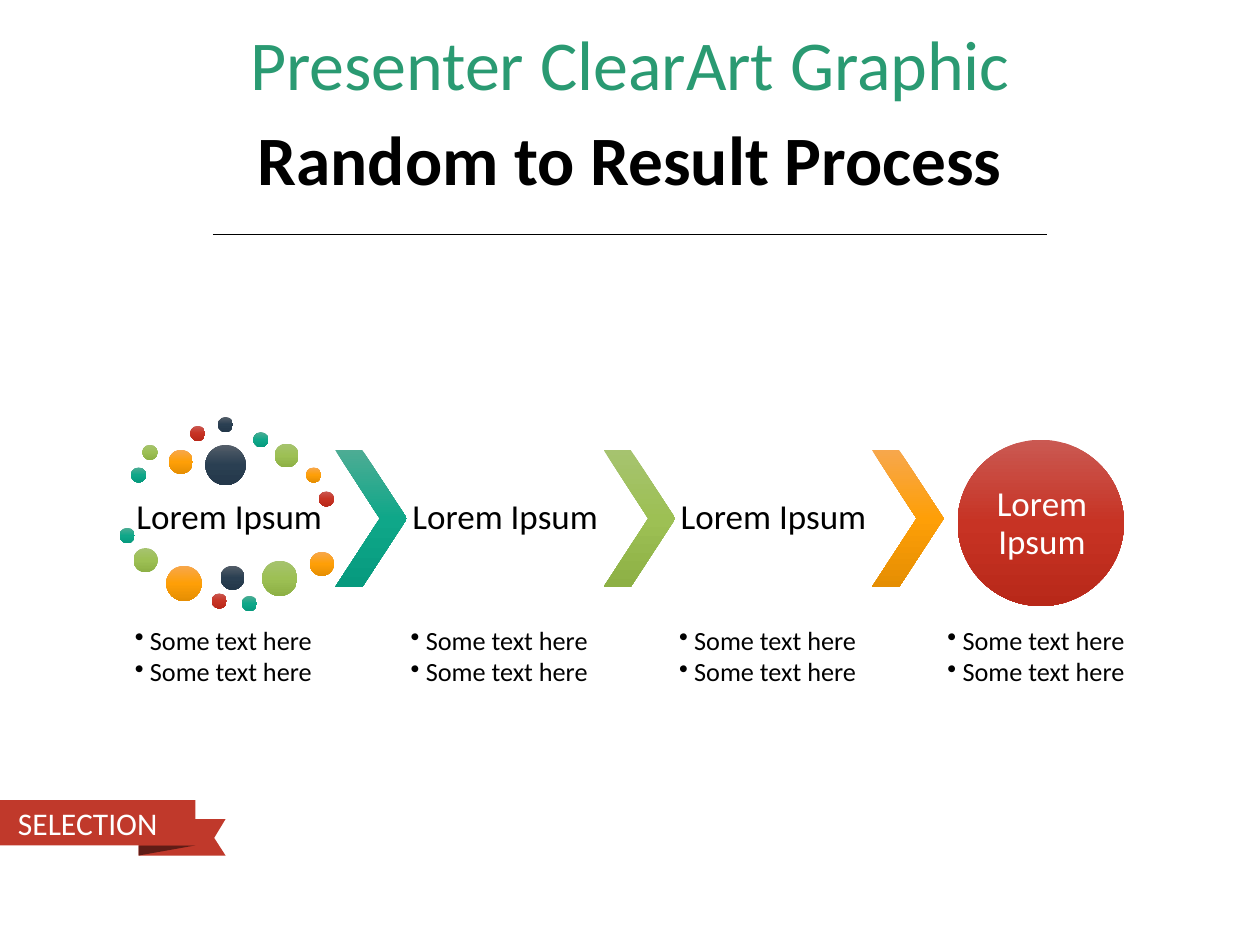
import copy
import itertools

import pptx
import pptx.dml.color
import pptx.enum.dml
import pptx.enum.shapes
import pptx.enum.text
import pptx.oxml
import pptx.oxml.ns
import pptx.util

Inches = pptx.util.Inches
Pt = pptx.util.Pt
Align = pptx.enum.text.PP_ALIGN
Anchor = pptx.enum.text.MSO_ANCHOR
Shapes = pptx.enum.shapes.MSO_SHAPE


class Theme:
    font = "Calibri"
    black, white = "000000", "FFFFFF"
    heading, ribbon, fold = "2A9A72", "C0392B", "601C16"
    # Vertical gradients: top, middle, bottom
    teal = ("4DAC94", "0FA789", "079A7E")
    green = ("A6C36F", "9DC054", "8DB045")
    orange = ("F7A74C", "FE9F07", "E58E03")
    red = ("CA5952", "C73324", "B82819")
    navy = ("545E69", "2A3F52", "24384A")
    cycle = (teal, green, orange, red, navy)
    heading_size, title_size = 40, 39.6
    label_size, ribbon_size, bullet_size = 20, 18, 15


def rgb(value):
    return pptx.dml.color.RGBColor.from_string(value)


class SlideBuilder:
    def __init__(self, slide, theme):
        self.slide = slide
        self.theme = theme

    def paint(self, shape, color):
        """Fill with one colour, or with a top-to-bottom gradient."""
        shape.shadow.inherit = False
        shape.line.fill.background()
        if isinstance(color, str):
            shape.fill.solid()
            shape.fill.fore_color.rgb = rgb(color)
            return
        shape.fill.gradient()
        shape.fill.gradient_angle = 270
        stops = shape._element.spPr.find(".//" + pptx.oxml.ns.qn("a:gsLst"))
        stops.append(copy.deepcopy(stops[0]))
        for index, stop in enumerate(shape.fill.gradient_stops):
            stop.color.rgb = rgb(color[index])
            stop.position = index / 2

    def set_text(self, shape, lines, size, color, bold=False, align=Align.CENTER,
                 anchor=Anchor.MIDDLE, insets=(0.03,) * 4, spacing=0.9, bullets=False):
        frame = shape.text_frame
        frame_format = {"word_wrap": True, "vertical_anchor": anchor}
        sides = ("margin_left", "margin_top", "margin_right", "margin_bottom")
        frame_format.update(zip(sides, map(Inches, insets)))
        for name, value in frame_format.items():
            setattr(frame, name, value)
        for index, line in enumerate(lines):
            paragraph = frame.paragraphs[0] if index == 0 else frame.add_paragraph()
            paragraph.text = line
            paragraph.alignment = align
            paragraph.line_spacing = spacing
            font_format = {"name": self.theme.font, "size": Pt(size), "bold": bold}
            for name, value in font_format.items():
                setattr(paragraph.runs[0].font, name, value)
            paragraph.runs[0].font.color.rgb = rgb(color)
            if bullets:
                paragraph.space_after = Pt(2)
                properties = paragraph._p.get_or_add_pPr()
                properties.set("marL", str(Inches(0.12)))
                properties.set("indent", str(Inches(-0.12)))
                bullet = pptx.oxml.parse_xml(
                    f'<a:buChar {pptx.oxml.ns.nsdecls("a")} char="•"/>')
                properties.append(bullet)

    def text(self, box, lines, size, color, **options):
        shape = self.slide.shapes.add_textbox(*map(Inches, box))
        self.set_text(shape, lines, size, color, **options)

    def shape(self, kind, box, color):
        shape = self.slide.shapes.add_shape(kind, *map(Inches, box))
        self.paint(shape, color)
        return shape

    def circle(self, left, top, diameter, color):
        self.shape(Shapes.OVAL, (left, top, diameter, diameter), color)

    def chevron(self, box, color):
        self.shape(Shapes.CHEVRON, box, color).adjustments[0] = 0.623

    def polygon(self, points, color):
        corners = [(Inches(x), Inches(y)) for x, y in points]
        builder = self.slide.shapes.build_freeform(*corners[0], scale=1.0)
        builder.add_line_segments(corners[1:], close=True)
        self.paint(builder.convert_to_shape(), color)

    def line(self, start, end, color, width):
        connector = self.slide.shapes.add_connector(
            pptx.enum.shapes.MSO_CONNECTOR.STRAIGHT, *map(Inches, start + end))
        connector.line.color.rgb = rgb(color)
        connector.line.width = Pt(width)
        connector._element.spPr.append(pptx.oxml.parse_xml(
            f'<a:effectLst {pptx.oxml.ns.nsdecls("a")}/>'))


# Left, top and diameter of each scattered dot; colours follow the cycle
DOTS = [
    (1.04, 3.71, 0.12), (1.13, 3.53, 0.12), (1.34, 3.57, 0.19),
    (1.51, 3.38, 0.12), (1.73, 3.31, 0.12), (2.01, 3.43, 0.12),
    (2.18, 3.52, 0.19), (2.43, 3.71, 0.12), (2.53, 3.9, 0.12),
    (1.63, 3.53, 0.32), (0.95, 4.19, 0.12), (1.06, 4.35, 0.19),
    (1.32, 4.49, 0.28), (1.68, 4.71, 0.12), (1.75, 4.49, 0.19),
    (1.92, 4.73, 0.12), (2.08, 4.45, 0.28), (2.46, 4.38, 0.19),
]
STEP_WIDTH, CHEVRON_WIDTH = 1.56, 0.57
STEP_TOP, STEP_HEIGHT = 3.57, 1.09
FIRST_CHEVRON = 2.66
PITCH = STEP_WIDTH + CHEVRON_WIDTH


def main():
    presentation = pptx.Presentation()
    presentation.slide_width = Inches(10)
    presentation.slide_height = Inches(7.5)
    slide = presentation.slides.add_slide(presentation.slide_layouts[6])
    theme = Theme()
    builder = SlideBuilder(slide, theme)

    # Headings and divider
    heading_insets = (0.1, 0.05, 0.1, 0.05)
    builder.text((0.69, 0.16, 8.62, 0.75), ["Presenter ClearArt Graphic"],
                 theme.heading_size, theme.heading, insets=heading_insets)
    builder.text((0.69, 0.92, 8.62, 0.75), ["Random to Result Process"],
                 theme.title_size, theme.black, bold=True, insets=heading_insets)
    builder.line((1.69, 1.86), (8.31, 1.86), theme.black, 0.5)

    # Ribbon
    builder.polygon([(1.1, 6.79), (1.79, 6.79), (1.7, 6.65), (1.79, 6.5), (1.1, 6.5)],
                    theme.ribbon)
    builder.polygon([(1.55, 6.71), (1.1, 6.79), (1.1, 6.71)], theme.fold)
    band = builder.shape(Shapes.RECTANGLE, (0, 6.35, 1.55, 0.36), theme.ribbon)
    builder.set_text(band, ["SELECTION"], theme.ribbon_size, theme.white,
                     align=Align.RIGHT, insets=(0.1, 0, 0.3, 0), spacing=1.0)

    # Random start
    label = ["Lorem Ipsum"]
    builder.text((1.04, 3.86, STEP_WIDTH, 0.51), label, theme.label_size, theme.black)
    for dot, color in zip(DOTS, itertools.cycle(theme.cycle)):
        builder.circle(*dot, color)

    # Chevrons, each but the last followed by a step label
    chevrons = [FIRST_CHEVRON + index * PITCH for index in range(3)]
    step_lefts = [left + CHEVRON_WIDTH for left in chevrons]
    for left, color in zip(chevrons, theme.cycle):
        builder.chevron((left, STEP_TOP, CHEVRON_WIDTH, STEP_HEIGHT), color)
    for left in step_lefts[:-1]:
        builder.text((left, STEP_TOP, STEP_WIDTH, STEP_HEIGHT), label,
                     theme.label_size, theme.black)

    # Result
    builder.circle(7.6, 3.49, 1.32, theme.red)
    builder.text((7.8, 3.69, 0.94, 0.94), label, theme.label_size, theme.white,
                 insets=(0,) * 4)

    # Bullets below every stage
    for left in [1.04] + step_lefts:
        builder.text((left, 4.95, STEP_WIDTH, 0.96), ["Some text here"] * 2,
                     theme.bullet_size, theme.black, align=Align.LEFT,
                     anchor=Anchor.TOP, bullets=True)

    presentation.save("out.pptx")


if __name__ == "__main__":
    main()
